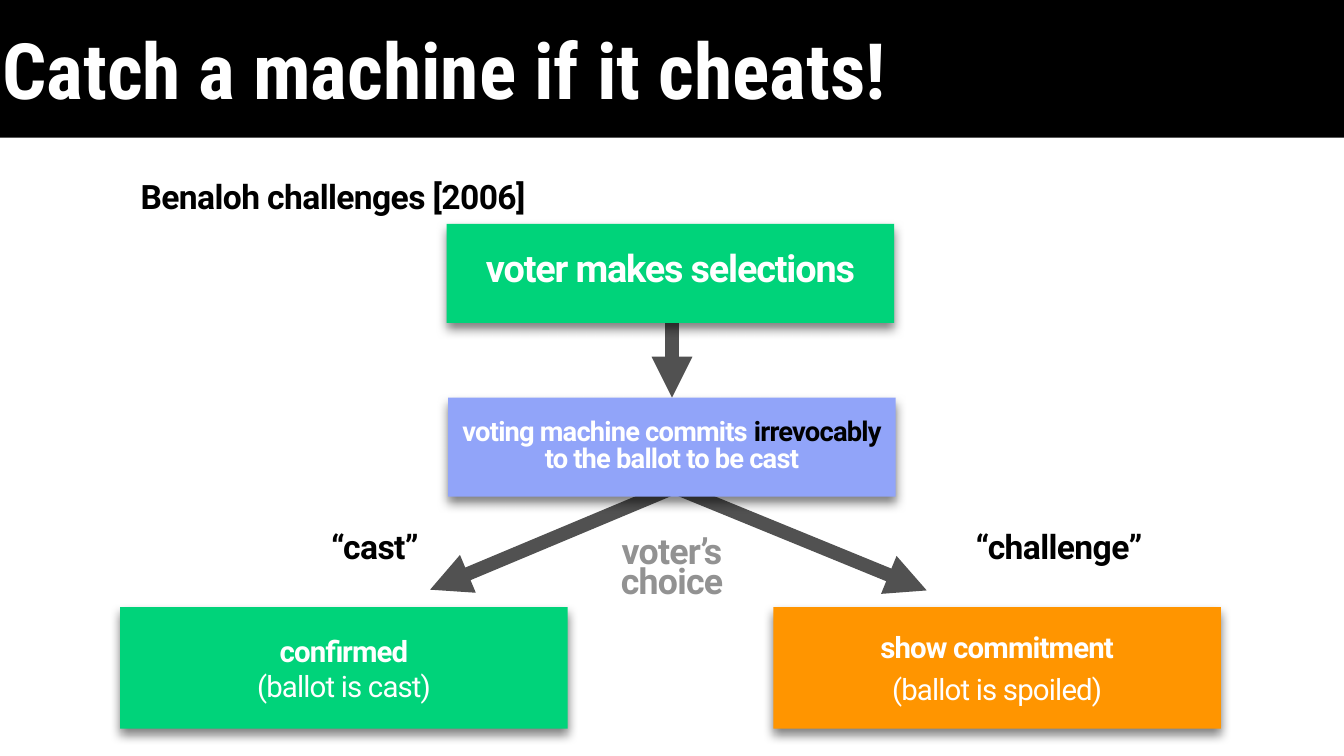
from lxml.etree import SubElement
from pptx import Presentation
from pptx.dml.color import RGBColor
from pptx.enum.shapes import MSO_CONNECTOR as Connector, MSO_SHAPE as Shape
from pptx.enum.text import MSO_ANCHOR as Anchor, MSO_AUTO_SIZE as AutoSize, PP_ALIGN as Align
from pptx.oxml.ns import qn
from pptx.util import Inches, Pt

WIDTH, HEIGHT = 17.78, 10
WHITE, BLACK, GREY, ARROW = "FFFFFF", "000000", "929292", "515151"
GREEN, BLUE, ORANGE = "00D37A", "91A4F9", "FF9500"
BOX_WIDTH, STEP_HEIGHT, RESULT_HEIGHT = 5.92, 1.31, 1.61
RESULT_TOP = 8.03

# A paragraph is a list of spans: (text, colour, bold)
TITLE = [[("Catch a machine if it cheats!", WHITE, True)]]
# left, top, height, fill, paragraphs, text style, inset
BOXES = [
    (5.91, 2.96, STEP_HEIGHT, GREEN,
     [[("voter makes selections", WHITE, True)]],
     dict(size=36, tracking=-1.1, line=0.7), 0.06),
    (5.93, 5.26, STEP_HEIGHT, BLUE,
     [[("voting machine commits ", WHITE, True), ("irrevocably", BLACK, True),
       (" to the ballot to be cast", WHITE, True)]],
     dict(size=26, tracking=-0.8, line=0.8), 0),
    (1.59, RESULT_TOP, RESULT_HEIGHT, GREEN,
     [[("confirmed", WHITE, True)], [("(ballot is cast)", WHITE, False)]],
     dict(size=28, tracking=-0.8), 0.06),
    (10.23, RESULT_TOP, RESULT_HEIGHT, ORANGE,
     [[("show commitment", WHITE, True)], [("(ballot is spoiled)", WHITE, False)]],
     dict(size=28, tracking=-0.8, gap=7), 0.06),
]
LABEL = dict(size=32, tracking=-0.6)
# left, top, width, height, paragraphs, text style, wrap
LABELS = [
    (8.1, 7.01, 1.58, 1.07, [[("voter’s", GREY, True)], [("choice", GREY, True)]],
     dict(size=34, tracking=-0.7, line=0.7), False),
    (4.26, 6.9, 1.4, 0.64, [[("“cast”", BLACK, True)]], LABEL, False),
    (12.76, 6.9, 2.5, 0.64, [[("“challenge”", BLACK, True)]], LABEL, False),
    (1.8, 2.28, 15.88, 0.64, [[("Benaloh challenges [2006]", BLACK, True)]],
     dict(LABEL, align=Align.LEFT), True),
]
# start, tip
ARROWS = [((8.89, 6.46), (5.69, 7.8)), ((8.96, 6.46), (12.26, 7.81)),
          ((8.89, 4.06), (8.89, 5.26))]


def color(value):
    return RGBColor.from_string(value)


def write(shape, paragraphs, size, tracking=0, line=None, gap=0,
          align=Align.CENTER, font="Roboto", inset=0.06, wrap=True):
    frame = shape.text_frame
    frame.word_wrap = wrap
    frame.vertical_anchor = Anchor.MIDDLE
    frame.margin_left = frame.margin_right = Inches(inset)
    frame.margin_top = frame.margin_bottom = Inches(inset)
    for index, spans in enumerate(paragraphs):
        para = frame.add_paragraph() if index else frame.paragraphs[0]
        para.alignment = align
        if line:
            para.line_spacing = line
        if index and gap:
            para.space_before = Pt(gap)
        for text, ink, bold in spans:
            span = para.add_run()
            span.text = text
            span.font.name, span.font.size, span.font.bold = font, Pt(size), bold
            span.font.color.rgb = color(ink)
            if tracking:
                span._r.get_or_add_rPr().set("spc", str(round(tracking * 100)))


def add_box(page, left, top, width, height, fill):
    box = page.shapes.add_shape(Shape.RECTANGLE, *map(Inches, (left, top, width, height)))
    box.shadow.inherit = False
    box.fill.solid()
    box.fill.fore_color.rgb = color(fill)
    box.line.fill.background()
    return box


def drop_shadow(box):
    effects = box._element.spPr.find(qn("a:effectLst"))
    shadow = SubElement(effects, qn("a:outerShdw"), blurRad=str(Pt(10)), dist=str(Pt(6)),
                        dir="5400000", rotWithShape="0")
    ink = SubElement(shadow, qn("a:srgbClr"), val=BLACK)
    SubElement(ink, qn("a:alpha"), val="50000")


def add_arrow(page, start, tip):
    arrow = page.shapes.add_connector(Connector.STRAIGHT, *map(Inches, start + tip))
    arrow.line.color.rgb = color(ARROW)
    arrow.line.width = Pt(13)
    SubElement(arrow.line._get_or_add_ln(), qn("a:tailEnd"), type="triangle")
    SubElement(arrow._element.spPr, qn("a:effectLst"))


def main():
    deck = Presentation()
    deck.slide_width, deck.slide_height = Inches(WIDTH), Inches(HEIGHT)
    page = deck.slides.add_slide(deck.slide_layouts[6])

    for start, tip in ARROWS:
        add_arrow(page, start, tip)

    banner = add_box(page, -0.01, 0, 17.88, 1.82, BLACK)
    write(banner, TITLE, size=74, align=Align.LEFT, font="Roboto Condensed", inset=0.04)

    for left, top, height, fill, paragraphs, style, inset in BOXES:
        box = add_box(page, left, top, BOX_WIDTH, height, fill)
        drop_shadow(box)
        write(box, paragraphs, inset=inset, **style)

    for left, top, width, height, paragraphs, style, wrap in LABELS:
        label = page.shapes.add_textbox(*map(Inches, (left, top, width, height)))
        write(label, paragraphs, wrap=wrap, **style)
        label.text_frame.auto_size = AutoSize.SHAPE_TO_FIT_TEXT

    deck.save("out.pptx")


if __name__ == "__main__":
    main()
